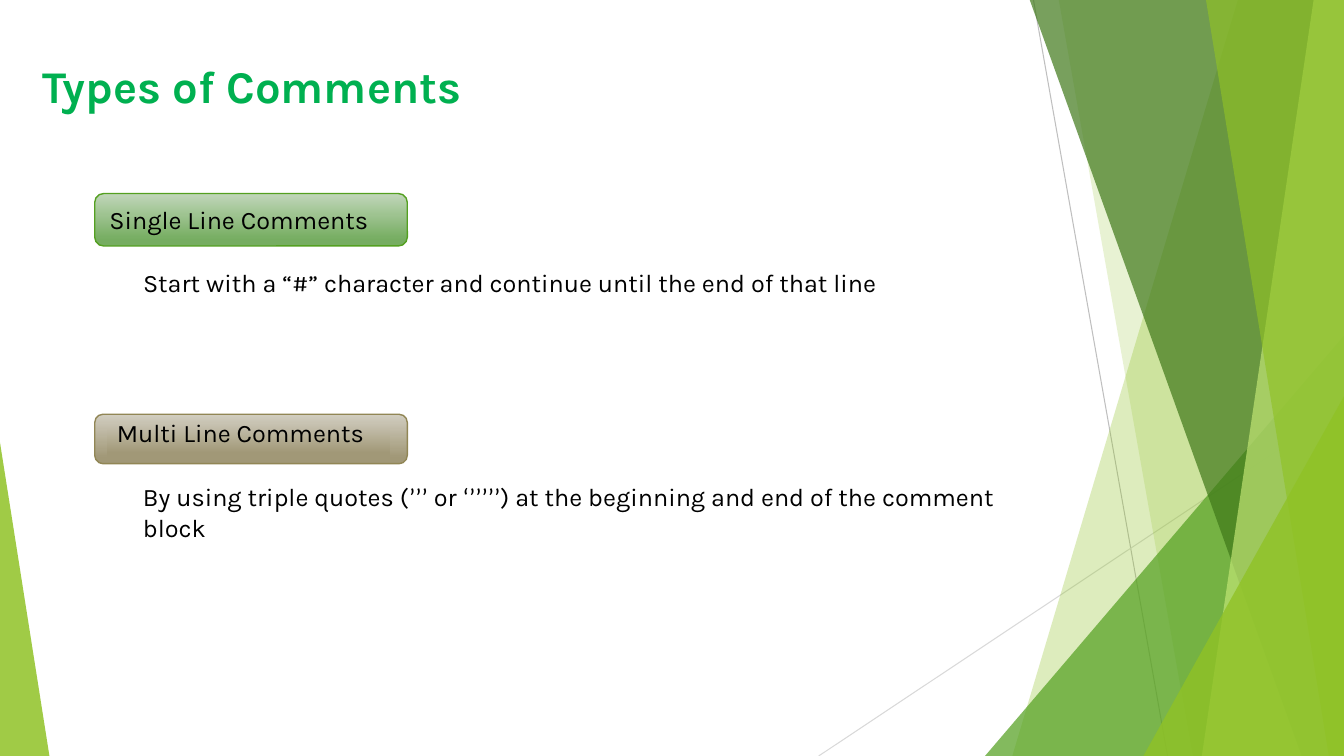
from pptx import Presentation
from pptx import util as u
from pptx.dml.color import RGBColor
from pptx.enum import shapes, text
from pptx.oxml.ns import qn
from lxml import etree

COLORS = {
    "black": "000000", "title": "00B050", "lime": "90C226", "green": "54A021",
    "forest": "3F7819", "pale": "C0E474", "line_mid": "BFBFBF", "line_light": "D9D9D9",
    "olive": "918655", "green_top": "C0D6B9", "green_end": "76AD61",
    "olive_top": "D1CDC0", "olive_end": "A19877",
}
WIDTH, HEIGHT, TOP = 13.33, 7.5, -0.01
FONT = "Karla"


def rgb(name):
    return RGBColor.from_string(COLORS[name])


def box(*lengths):
    return [u.Inches(n) for n in lengths]


def set_glass(sp, color, opacity):
    sp.shadow.inherit = False
    sp.line.fill.background()
    sp.fill.solid()
    sp.fill.fore_color.rgb = rgb(color)
    clr = sp.fill._xPr.find(".//" + qn("a:srgbClr"))
    etree.SubElement(clr, qn("a:alpha"), val=str(opacity * 1000))


def add_line(s, start, end, color):
    c = s.shapes.add_connector(shapes.MSO_CONNECTOR.STRAIGHT, *box(*start, *end))
    c.line.color.rgb = rgb(color)
    c.line.width = u.Pt(0.75)
    etree.SubElement(c._element.spPr, qn("a:effectLst"))


def add_facet(s, top_x, bottom_x, color, opacity):
    corners = [(WIDTH, TOP), (WIDTH, HEIGHT), (bottom_x, HEIGHT)]
    fb = s.shapes.build_freeform(*box(top_x, TOP), scale=1.0)
    fb.add_line_segments([box(*corner) for corner in corners], close=True)
    set_glass(fb.convert_to_shape(), color, opacity)


def add_triangle(s, left, top, width, apex, color, opacity):
    kind = shapes.MSO_SHAPE.ISOSCELES_TRIANGLE
    sp = s.shapes.add_shape(kind, *box(left, top, width, HEIGHT - top))
    sp.adjustments[0] = apex
    set_glass(sp, color, opacity)


def add_panel(s, kind, bounds, family, line=None):
    sp = s.shapes.add_shape(kind, *box(*bounds))
    sp.shadow.inherit = False
    sp.fill.gradient()
    sp.fill.gradient_angle = 270
    stops = zip(sp.fill.gradient_stops, ("_top", "_end"), (0, 0.88))
    for stop, suffix, position in stops:
        stop.color.rgb = rgb(family + suffix)
        stop.position = position
    if line:
        sp.line.color.rgb = rgb(line)
        sp.line.width = u.Pt(1)
    else:
        sp.line.fill.background()
    return sp


def style(p, size=18, color="black", bold=False):
    p.alignment = text.PP_ALIGN.LEFT
    p.font.size = u.Pt(size)
    p.font.bold = bold
    p.font.color.rgb = rgb(color)


def set_label(sp, label, anchor, inset=0.1):
    tf = sp.text_frame
    tf.word_wrap = True
    tf.vertical_anchor = anchor
    tf.margin_left = u.Inches(inset)
    p = tf.paragraphs[0]
    p.text = label
    style(p)
    p.font.name = FONT
    return p


def add_body(s, bounds, runs, wrap):
    tf = s.shapes.add_textbox(*box(*bounds)).text_frame
    tf.word_wrap = wrap
    tf.auto_size = text.MSO_AUTO_SIZE.SHAPE_TO_FIT_TEXT
    p = tf.paragraphs[0]
    style(p)
    for content, font in runs:
        r = p.add_run()
        r.text = content
        r.font.name = font


def set_title(s, title):
    sp = s.shapes.title
    sp.left, sp.top, sp.width, sp.height = box(0.32, 0.53, 5.04, 0.64)
    sp.text_frame.vertical_anchor = text.MSO_ANCHOR.MIDDLE
    p = sp.text_frame.paragraphs[0]
    p.text = title
    style(p, 32.4, "title", True)
    p.font.name = FONT


def add_backdrop(s):
    add_line(s, (10.25, 0), (11.58, HEIGHT), "line_mid")
    add_line(s, (WIDTH, 4.03), (8.12, HEIGHT), "line_light")
    add_facet(s, 12.28, 10.04, "lime", 30)
    add_facet(s, 10.5, 11.83, "lime", 20)
    add_triangle(s, 9.77, 3.33, 3.56, 1, "green", 72)
    add_facet(s, 10.21, 12.91, "forest", 70)
    add_facet(s, 13.03, 11.92, "pale", 70)
    add_facet(s, 11.96, 13.18, "lime", 65)
    add_triangle(s, 11.34, 3.93, 1.99, 1, "lime", 80)
    add_triangle(s, 0, 4.39, 0.49, 0, "lime", 85)


def main():
    prs = Presentation()
    prs.slide_width, prs.slide_height = box(WIDTH, HEIGHT)
    s = prs.slides.add_slide(prs.slide_layouts[5])
    add_backdrop(s)
    set_title(s, "Types of Comments")

    rounded = shapes.MSO_SHAPE.ROUNDED_RECTANGLE
    single = add_panel(s, rounded, (0.94, 1.92, 3.1, 0.52), "green", "green")
    set_label(single, "Single Line Comments", text.MSO_ANCHOR.MIDDLE, 0.12)
    add_panel(s, rounded, (0.94, 4.11, 3.1, 0.49), "olive", "olive")
    multi = add_panel(s, shapes.MSO_SHAPE.RECTANGLE, (1.06, 4.12, 2.81, 0.43), "olive")
    p = set_label(multi, "Multi Line Comments", text.MSO_ANCHOR.TOP)
    p.line_spacing = 0.9

    add_body(s, (1.32, 2.6, 7.61, 0.4), [
        ("Start with a “#” character and continue until the end of that line", FONT),
    ], False)
    add_body(s, (1.32, 4.73, 8.74, 0.71), [
        ("By using triple quotes (", FONT),
        ("’’’", "Calibri"),
        (" or ", FONT),
        ("‘’’’’’", "Calibri"),
        (") at the beginning and end of the comment block", FONT),
    ], True)
    prs.save("out.pptx")


if __name__ == "__main__":
    main()
